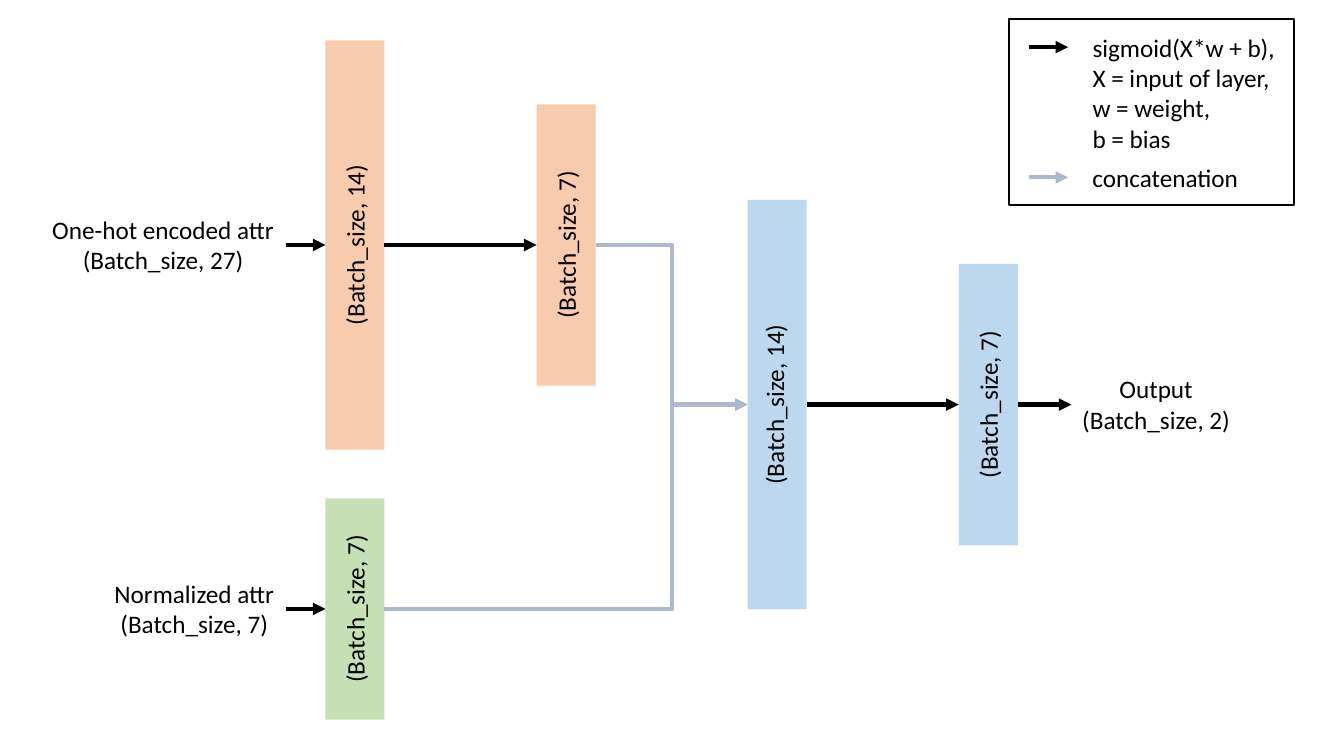
from pptx import Presentation, util as u
from pptx.dml import color
from pptx.enum import shapes, text
from pptx.oxml import ns
from lxml import etree

COLORS = {"onehot": "F8CBAD", "normalized": "C5E0B4", "merged": "BDD7EE",
          "sigmoid": "000000", "concat": "ADB9CA", "ink": "000000"}
FONT = {"name": "Calibri", "size": u.Pt(18)}
FRAME = {"word_wrap": False, "auto_size": text.MSO_AUTO_SIZE.SHAPE_TO_FIT_TEXT}

# Network grid in points
LAYER_WIDTH, LAYER_PITCH = 42.1, 150.8
TALL, MEDIUM, SHORT = 292.4, 201, 158
ONEHOT_Y, MERGED_Y, NORMALIZED_Y = 175, 289, 435
# column, centre y, height, colour, units, sideways shift of the label
LAYERS = {
    "onehot_14": (0, ONEHOT_Y, TALL, "onehot", 14, 0),
    "normalized_7": (0, NORMALIZED_Y, SHORT, "normalized", 7, 0),
    "onehot_7": (1, ONEHOT_Y, MEDIUM, "onehot", 7, 0),
    "merged_14": (2, MERGED_Y, TALL, "merged", 14, -2),
    "merged_7": (3, MERGED_Y, MEDIUM, "merged", 7, 0),
}


def rgb(name):
    return color.RGBColor.from_string(COLORS[name])


def set_all(target, values):
    for key, value in values.items():
        setattr(target, key, value)


def add_box(slide, left, top, width, height, fill=None, border=None):
    box = slide.shapes.add_shape(shapes.MSO_SHAPE.RECTANGLE,
                                 *map(u.Pt, (left, top, width, height)))
    box.shadow.inherit = False
    if fill:
        box.fill.solid()
        box.fill.fore_color.rgb = rgb(fill)
    else:
        box.fill.background()
    if border:
        box.line.color.rgb = rgb(border)
        box.line.width = u.Pt(1.5)
    else:
        box.line.fill.background()


def add_label(slide, left, top, width, lines, align="CENTER", rotation=0):
    height = 7.2 + 22 * len(lines)
    label = slide.shapes.add_textbox(*map(u.Pt, (left, top, width, height)))
    label.rotation = rotation
    set_all(label.text_frame, FRAME)
    label.text_frame.text = "\n".join(lines)
    for paragraph in label.text_frame.paragraphs:
        paragraph.alignment = getattr(text.PP_ALIGN, align)
        set_all(paragraph.font, FONT)
        paragraph.font.color.rgb = rgb("ink")


def add_arrow(slide, start, end, kind="sigmoid", bend_x=None):
    """Straight arrow, or an elbow that turns at bend_x."""
    style = shapes.MSO_CONNECTOR.STRAIGHT if bend_x is None else shapes.MSO_CONNECTOR.ELBOW
    arrow = slide.shapes.add_connector(style, *map(u.Pt, (*start, *end)))
    arrow.line.color.rgb = rgb(kind)
    arrow.line.width = u.Pt(3)
    properties = arrow._element.spPr
    if bend_x is not None:
        ratio = (bend_x - start[0]) / (end[0] - start[0])
        adjustments = properties.find(ns.qn("a:prstGeom")).get_or_add_avLst()
        etree.SubElement(adjustments, ns.qn("a:gd"), name="adj1",
                         fmla=f"val {round(ratio * 100000)}")
    etree.SubElement(properties.find(ns.qn("a:ln")), ns.qn("a:tailEnd"), type="triangle")
    etree.SubElement(properties, ns.qn("a:effectLst"))


def draw_network(slide, left):
    # Layers
    ports = {}
    for name, (column, y, height, fill, _, _) in LAYERS.items():
        x = left + column * LAYER_PITCH
        add_box(slide, x, y - height / 2, LAYER_WIDTH, height, fill)
        ports[name] = {"in": (x, y), "out": (x + LAYER_WIDTH, y)}

    # Weighted steps and concatenation
    for source, target in (("onehot_14", "onehot_7"), ("merged_14", "merged_7")):
        add_arrow(slide, ports[source]["out"], ports[target]["in"])
    junction = ports["merged_14"]["in"]
    bend_x = (ports["onehot_7"]["out"][0] + junction[0]) / 2
    for source in ("onehot_7", "normalized_7"):
        add_arrow(slide, ports[source]["out"], junction, "concat", bend_x)

    # Inputs and output
    for name, width, title, units in (("onehot_14", 175, "One-hot encoded attr", 27),
                                      ("normalized_7", 130.4, "Normalized attr", 7)):
        x, y = ports[name]["in"]
        add_arrow(slide, (x - 28.5, y), (x, y))
        add_label(slide, x - 28.5 - width, y - 25.6, width,
                  [title, f"(Batch_size, {units})"])
    x, y = ports["merged_7"]["out"]
    add_arrow(slide, (x, y), (x + 38.3, y))
    add_label(slide, x + 38.3, y - 25.6, 121, ["Output", "(Batch_size, 2)"])

    # Upright layer labels
    for column, y, _, _, units, shift in LAYERS.values():
        center = left + column * LAYER_PITCH + LAYER_WIDTH / 2 + shift
        add_label(slide, center - 65, y - 14.6, 130, [f"(Batch_size, {units})"], rotation=270)


def draw_legend(slide, left, top, width, height):
    entries = (
        ("sigmoid", 20, 150.5, ["sigmoid(X*w + b),", "X = input of layer,", "w = weight,", "b = bias"]),
        ("concat", 113, 119.5, ["concatenation"]),
    )
    for kind, offset, label_width, lines in entries:
        y = top + offset
        add_arrow(slide, (left + 14.5, y), (left + 42.5, y), kind)
        add_label(slide, left + 52.8, y - 14.2, label_width, lines, "LEFT")
    add_box(slide, left, top, width, height, border="ink")


def main():
    deck = Presentation()
    set_all(deck, {"slide_width": u.Pt(960), "slide_height": u.Pt(540)})
    slide = deck.slides.add_slide(deck.slide_layouts[6])
    draw_network(slide, 232.5)
    draw_legend(slide, 720.5, 13.7, 204, 132.7)
    deck.save("out.pptx")


if __name__ == "__main__":
    main()
